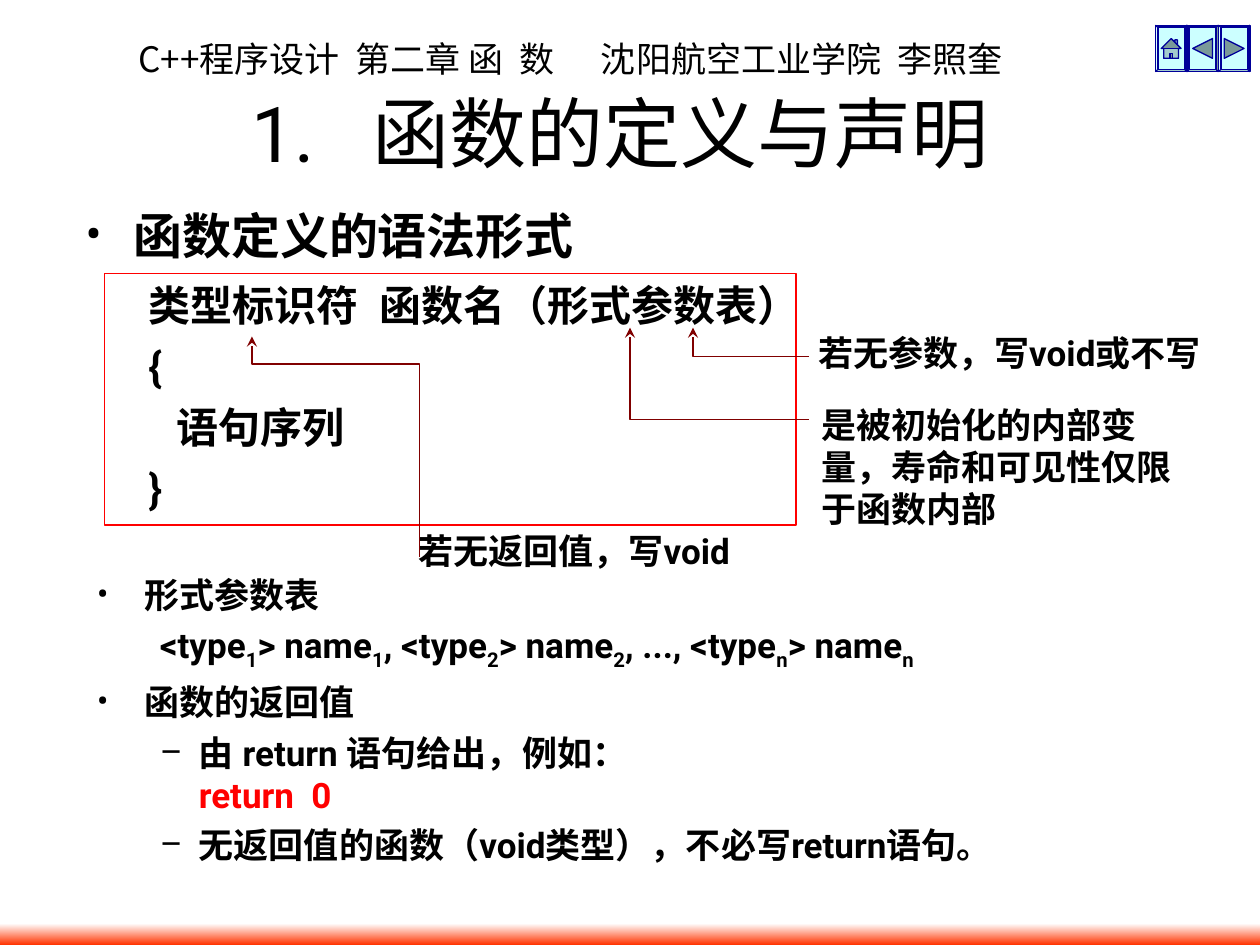
from lxml import etree
from pptx import Presentation
from pptx import util as u
from pptx.dml.color import RGBColor
from pptx.enum import shapes, text
from pptx.oxml.ns import qn

COLORS = {
    "black": "000000", "white": "FFFFFF", "red": "FF0000", "orange": "FF3300",
    "maroon": "800000", "navy": "000099", "cyan": "CCFFFF",
}


def rgb(name):
    return RGBColor.from_string(COLORS[name])


def add_text(frame, content, size=20, bold=True, font="Roboto", bullet=None,
             margin=0, indent=0, before=0, align=text.PP_ALIGN.LEFT):
    """Fill the empty first paragraph or append one; content is text or (text, format) pieces."""
    paragraph = frame.paragraphs[0]
    if paragraph.runs:
        paragraph = frame.add_paragraph()
    paragraph.alignment = align
    paragraph.space_before = u.Pt(before)
    properties = paragraph._p.get_or_add_pPr()
    properties.set("marL", str(u.Inches(margin)))
    properties.set("indent", str(u.Inches(indent)))
    properties.set("hangingPunct", "0")
    if bullet:
        etree.SubElement(properties, qn("a:buFont"), typeface=font)
        etree.SubElement(properties, qn("a:buChar"), char=bullet)
    pieces = [(content, {})] if isinstance(content, str) else content
    for words, style in pieces:
        if words == "\n":
            paragraph.add_line_break()
            continue
        run = paragraph.add_run()
        run.text = words
        run.font.size = u.Pt(size)
        run.font.bold = bold
        run.font.name = font
        run.font.color.rgb = rgb(style.get("color", "black"))
        run_properties = run._r.get_or_add_rPr()
        etree.SubElement(run_properties, qn("a:ea"), typeface=font)
        if "subscript" in style:
            run_properties.set("baseline", "-25000")
        if "spacing" in style:
            run_properties.set("spc", str(style["spacing"] * 100))


presentation = Presentation()
presentation.slide_width = u.Inches(10)
presentation.slide_height = u.Inches(7.5)
slide = presentation.slides.add_slide(presentation.slide_layouts[6])

# Text boxes: left, top, width, height
boxes = {
    "header": (1, 0.25, 8.25, 0.44),
    "title": (0.67, 0.42, 8.5, 1.25),
    "syntax": (0.58, 1.58, 8.42, 3.17),
    "no parameters": (6.4, 2.58, 3.6, 0.43),
    "parameter scope": (6.42, 3.15, 3, 1.1),
    "no return value": (3.22, 4.15, 2.82, 0.43),
    "details": (0.67, 4.5, 7.83, 2.25),
}
frames = {}
for name, place in boxes.items():
    box = slide.shapes.add_textbox(*[u.Inches(value) for value in place])
    frames[name] = box.text_frame
    frames[name].word_wrap = name != "no return value"

# Header and title, with a widened space as the gap
add_text(frames["header"], [("C++程序设计  第二章 函  数", {}), (" ", {"spacing": 22}),
                            ("沈阳航空工业学院  李照奎", {})],
         bold=False, font="Noto Sans CJK SC")
frames["title"].vertical_anchor = text.MSO_ANCHOR.MIDDLE
add_text(frames["title"], [("1.", {}), (" ", {"spacing": 22}), ("函数的定义与声明", {})],
         size=44, bold=False, align=text.PP_ALIGN.CENTER)

# Syntax of a function definition
add_text(frames["syntax"], "函数定义的语法形式", size=28, bullet="•",
         margin=0.38, indent=-0.38)
for line, margin, before in [("类型标识符  函数名（形式参数表）", 0.5, 9), ("{", 0.5, 6),
                             ("语句序列", 0.72, 6), ("}", 0.5, 6)]:
    add_text(frames["syntax"], line, size=24, margin=margin, before=before)

# Annotations
add_text(frames["no parameters"], "若无参数，写void或不写")
add_text(frames["parameter scope"], "是被初始化的内部变量，寿命和可见性仅限于函数内部")
add_text(frames["no return value"], "若无返回值，写void")

# Parameter list and return value
parameters = []
for lead, index in [("", "1"), (", ", "2"), (", ..., ", "n")]:
    parameters += [(lead + "<type", {}), (index, {"subscript": True}),
                   ("> name", {}), (index, {"subscript": True})]
return_example = [("由 return 语句给出，例如：", {}), ("\n", {}),
                  ("return  0", {"color": "red"})]
topic = {"bullet": "•", "margin": 0.38, "indent": -0.38}
detail = {"margin": 0.81, "indent": -0.31, "before": 5}
details = frames["details"]
add_text(details, "形式参数表", **topic)
add_text(details, parameters, **detail)
add_text(details, "函数的返回值", before=5, **topic)
add_text(details, return_example, bullet="–", **detail)
add_text(details, "无返回值的函数（void类型），不必写return语句。", bullet="–", **detail)

# Gradient footer band
band = slide.shapes.add_shape(shapes.MSO_SHAPE.RECTANGLE, u.Inches(0), u.Inches(7.33),
                              u.Inches(10), u.Inches(0.17))
band.shadow.inherit = False
band.line.fill.background()
band.fill.gradient()
band.fill.gradient_angle = 270
for stop, position, color in zip(band.fill.gradient_stops, (0, 1), ("white", "orange")):
    stop.position = position
    stop.color.rgb = rgb(color)

# Navigation buttons: a bevelled edge with the button face inset in it
faces = [shapes.MSO_SHAPE.ACTION_BUTTON_HOME,
         shapes.MSO_SHAPE.ACTION_BUTTON_BACK_OR_PREVIOUS,
         shapes.MSO_SHAPE.ACTION_BUTTON_FORWARD_OR_NEXT]
for column, face in enumerate(faces):
    for kind, inset in [(shapes.MSO_SHAPE.BEVEL, 0), (face, 0.02)]:
        button = slide.shapes.add_shape(
            kind, u.Inches(9.17 + 0.25 * column + inset), u.Inches(0.2 + inset),
            u.Inches(0.25 - 2 * inset), u.Inches(0.37 - 2 * inset))
        if kind == shapes.MSO_SHAPE.BEVEL:
            button.adjustments[0] = 0.06
        button.shadow.inherit = False
        button.fill.solid()
        button.fill.fore_color.rgb = rgb("cyan")
        button.line.color.rgb = rgb("navy")
        button.line.width = u.Pt(0.75)

# Frame around the syntax
border = slide.shapes.add_shape(shapes.MSO_SHAPE.RECTANGLE, u.Inches(0.83), u.Inches(2.17),
                                u.Inches(5.49), u.Inches(2))
border.shadow.inherit = False
border.fill.background()
border.line.color.rgb = rgb("red")
border.line.width = u.Pt(1)

# Bent arrows from the annotations, arrowhead at the first point
arrows = [
    [(5.5, 2.6), (5.5, 2.83), (6.42, 2.83)],
    [(5, 2.6), (5, 3.33), (6.42, 3.33)],
    [(2, 2.67), (2, 2.89), (3.33, 2.89), (3.33, 4.42)],
]
for points in arrows:
    start, *bends = [(u.Inches(x), u.Inches(y)) for x, y in points]
    builder = slide.shapes.build_freeform(*start)
    builder.add_line_segments(bends, close=False)
    arrow = builder.convert_to_shape()
    arrow.shadow.inherit = False
    arrow.fill.background()
    arrow.line.color.rgb = rgb("maroon")
    arrow.line.width = u.Pt(1)
    etree.SubElement(arrow.line._get_or_add_ln(), qn("a:headEnd"), type="stealth")

presentation.save("out.pptx")
